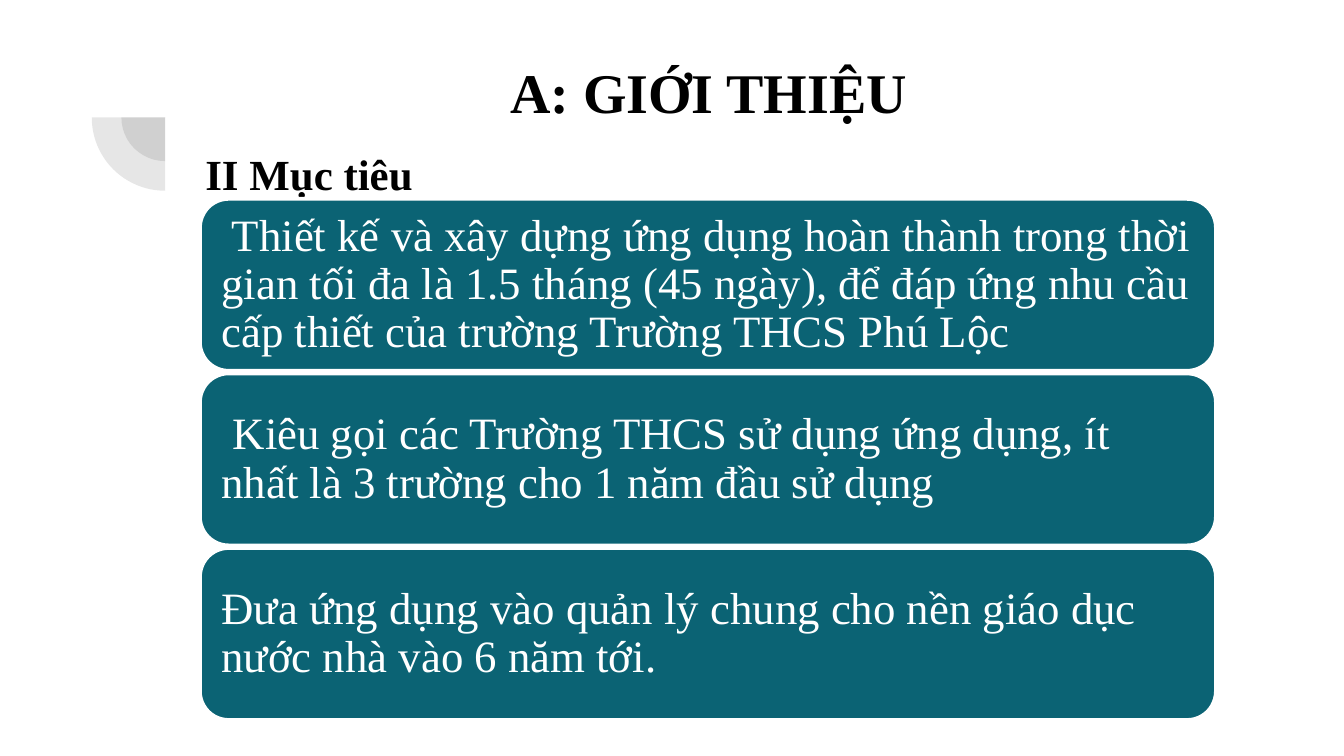
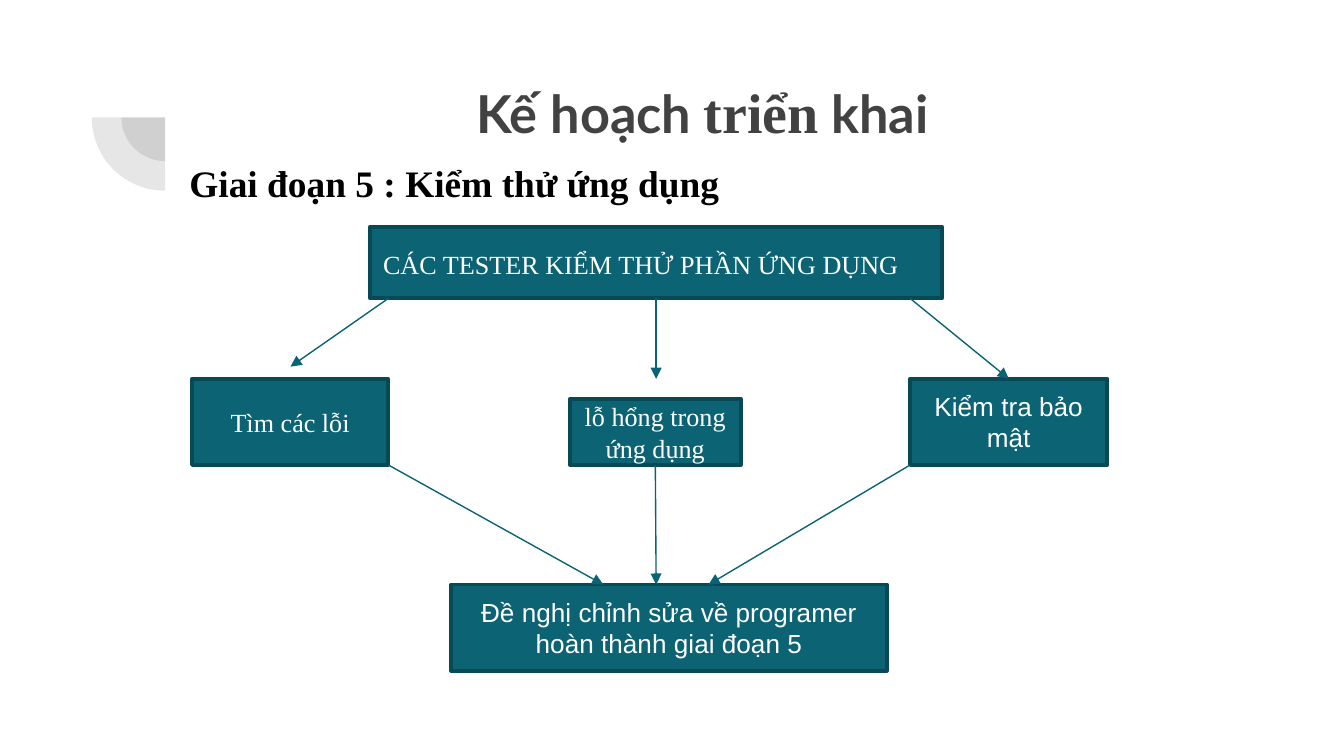
from lxml import etree
from pptx import Presentation
from pptx.dml.color import RGBColor
from pptx.enum.shapes import MSO_CONNECTOR as Connector, MSO_SHAPE as Shape
from pptx.enum.text import MSO_ANCHOR as Anchor, PP_ALIGN as Align
from pptx.oxml.ns import qn
from pptx.util import Cm, Pt

COLORS = {
    "teal": "0B6374",
    "teal_edge": "084956",
    "arrow": "086374",
    "gray": "424242",
    "black": "000000",
    "white": "FFFFFF",
}
SERIF = "Times New Roman"
TOP, BOTTOM = 0, 2  # connection sites of a rectangle
INSET = (0.25, 0.25)

GOALS = [
    " Thiết kế và xây dựng ứng dụng hoàn thành trong thời gian tối đa là "
    "1.5 tháng (45 ngày), để đáp ứng nhu cầu cấp thiết của trường "
    "Trường THCS Phú Lộc",
    " Kiêu gọi các Trường THCS sử dụng ứng dụng, ít nhất là 3 trường "
    "cho 1 năm đầu sử dụng",
    "Đưa ứng dụng vào quản lý chung cho nền giáo dục nước nhà vào 6 năm tới.",
]


def rgb(name):
    return RGBColor.from_string(COLORS[name])


def write(shape, text, font=SERIF, size=14, color="white", bold=False,
          align=Align.LEFT, anchor=Anchor.MIDDLE, spacing=None, inset=(0.25, 0.13)):
    """Fill a shape with one paragraph; text is a string or (text, font, size) runs."""
    frame = shape.text_frame
    frame.word_wrap = True
    frame.vertical_anchor = anchor
    frame.margin_left = frame.margin_right = Cm(inset[0])
    frame.margin_top = frame.margin_bottom = Cm(inset[1])
    paragraph = frame.paragraphs[0]
    paragraph.alignment = align
    if spacing:
        paragraph.line_spacing = spacing
    for words, face, points in [(text, font, size)] if isinstance(text, str) else text:
        run = paragraph.add_run()
        run.text = words
        run.font.name = face
        run.font.size = Pt(points)
        run.font.bold = bold
        run.font.color.rgb = rgb(color)


def add_label(slide, text, left, top, width, height, **style):
    label = slide.shapes.add_textbox(Cm(left), Cm(top), Cm(width), Cm(height))
    write(label, text, anchor=Anchor.TOP, bold=True, **style)


def add_title(slide, text, top, height, **style):
    add_label(slide, text, 3.63, top, 19.53, height,
              align=Align.CENTER, inset=INSET, **style)


def add_block(slide, preset, left, top, width, height, edge):
    block = slide.shapes.add_shape(preset, Cm(left), Cm(top), Cm(width), Cm(height))
    block.shadow.inherit = False
    block.fill.solid()
    block.fill.fore_color.rgb = rgb("teal")
    block.line.color.rgb = rgb(edge)
    block.line.width = Pt(2)
    return block


def add_step(slide, text, left, top, width, height, align=Align.CENTER, **style):
    step = add_block(slide, Shape.RECTANGLE, left, top, width, height, "teal_edge")
    write(step, text, align=align, **style)
    return step


def add_quarter_rings(slide, center_x=3.12, center_y=2.22):
    """Draw the two translucent quarter discs beside the title."""
    for diameter in (1.65, 2.77):
        quarter = slide.shapes.add_shape(
            Shape.PIE, Cm(center_x - diameter / 2), Cm(center_y - diameter / 2),
            Cm(diameter), Cm(diameter))
        quarter.adjustments[0], quarter.adjustments[1] = 108, 162
        quarter.rotation = 270
        quarter.shadow.inherit = False
        quarter.line.fill.background()
        quarter.fill.solid()
        quarter.fill.fore_color.rgb = rgb("gray")
        tint = quarter.fill._xPr.find(qn("a:solidFill"))[0]
        etree.SubElement(tint, qn("a:alpha")).set("val", "13000")


def add_arrow(slide, start, end, source=None, target=None):
    """Draw an arrow, joined to the source's bottom and the target's top if given."""
    arrow = slide.shapes.add_connector(
        Connector.STRAIGHT, *[Cm(value) for value in (*start, *end)])
    arrow.line.color.rgb = rgb("arrow")
    arrow.line.width = Pt(0.75)
    outline = arrow.line._get_or_add_ln()
    etree.SubElement(outline, qn("a:tailEnd")).set("type", "triangle")
    etree.SubElement(arrow._element.spPr, qn("a:effectLst"))
    if source is not None:
        arrow.begin_connect(source, BOTTOM)
    if target is not None:
        arrow.end_connect(target, TOP)


def new_slide(deck):
    slide = deck.slides.add_slide(deck.slide_layouts[6])
    add_quarter_rings(slide)
    return slide


def build_goals(deck):
    slide = new_slide(deck)
    add_title(slide, "A: GIỚI THIỆU", 0.64, 1.3, size=30, color="black", spacing=1.15)
    add_label(slide, "II Mục tiêu", 3.63, 2.39, 4.95, 1.68,
              size=23, color="black", spacing=1.15, inset=INSET)
    for row, goal in enumerate(GOALS):
        card = add_block(slide, Shape.ROUNDED_RECTANGLE,
                         3.78, 3.76 + 3.3 * row, 19.2, 3.25, "white")
        write(card, goal, size=24, spacing=0.9, inset=INSET)


def build_testing_plan(deck):
    slide = new_slide(deck)
    add_title(slide, [("Kế hoạch ", "Lato", 28), ("triển", SERIF, 30),
                      (" khai ", "Lato", 28)], 1.22, 1.4, color="gray")
    add_label(slide, "Giai đoạn 5 : Kiểm thử ứng dụng", 3.33, 2.9, 18.75, 1.12,
              size=20, color="black")

    testers = add_step(slide, "CÁC TESTER KIỂM THỬ PHẦN ỨNG DỤNG",
                       6.99, 4.29, 10.82, 1.35, align=Align.LEFT, spacing=1.07)
    add_step(slide, "Tìm các lỗi", 3.63, 7.16, 3.71, 1.63)
    gaps = add_step(slide, "lỗ hổng trong ứng dụng", 10.77, 7.54, 3.23, 1.25)
    security = add_step(slide, "Kiểm tra bảo mật", 17.2, 7.16, 3.73, 1.63, font="Arial")
    add_step(slide, "Đề nghị chỉnh sửa về programer hoàn thành giai đoạn 5",
             8.53, 11.05, 8.23, 1.63, font="Arial")

    left_x, middle_x, right_x = 7.34, 12.4, 17.2
    testers_bottom, checks_top, checks_bottom, fixes_top = 5.64, 7.16, 8.79, 11.05
    add_arrow(slide, (left_x, testers_bottom), (5.49, 6.93))
    add_arrow(slide, (right_x, testers_bottom), (19.07, checks_top), target=security)
    add_arrow(slide, (middle_x, testers_bottom), (middle_x, checks_top), source=testers)
    add_arrow(slide, (left_x, checks_bottom), (11.4, fixes_top))
    add_arrow(slide, (right_x, checks_bottom), (13.39, fixes_top))
    add_arrow(slide, (middle_x, checks_bottom), (middle_x, fixes_top), source=gaps)


def main():
    deck = Presentation()
    deck.slide_width, deck.slide_height = Cm(25.4), Cm(14.29)
    build_goals(deck)
    build_testing_plan(deck)
    deck.save("out.pptx")


if __name__ == "__main__":
    main()
